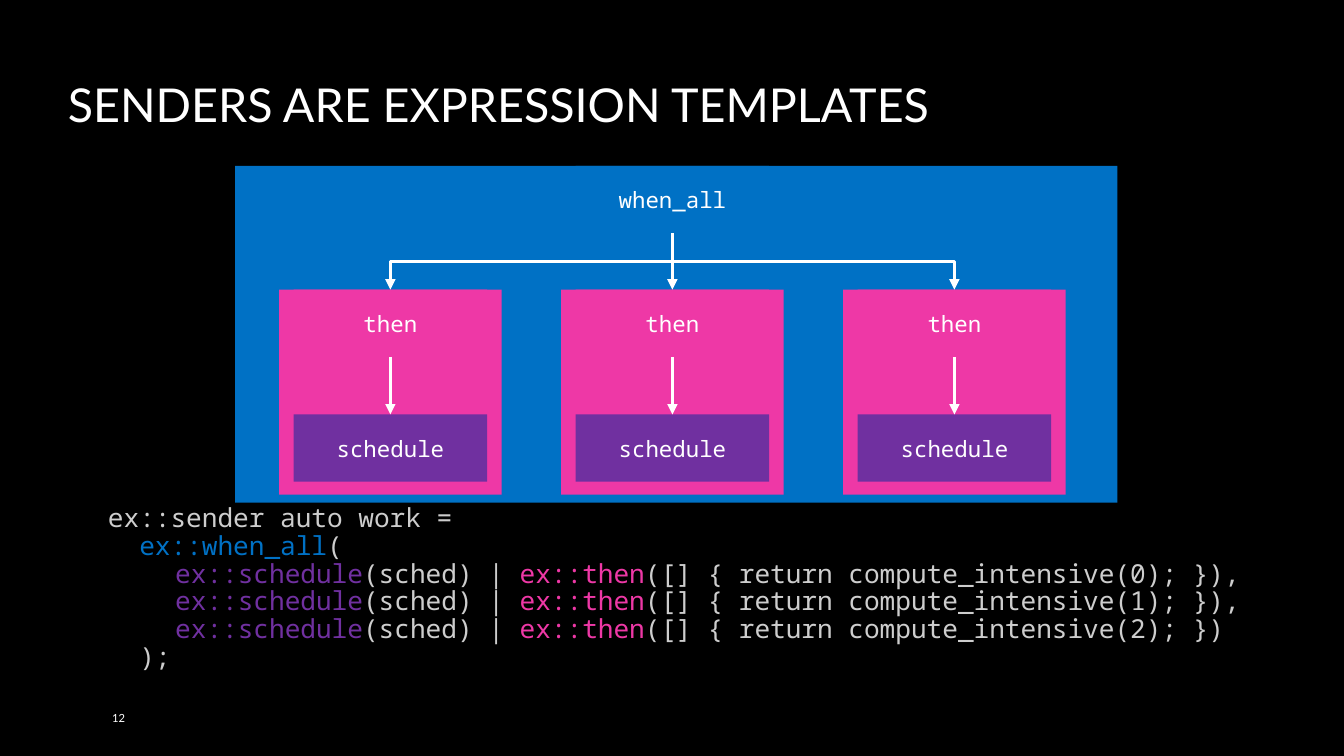
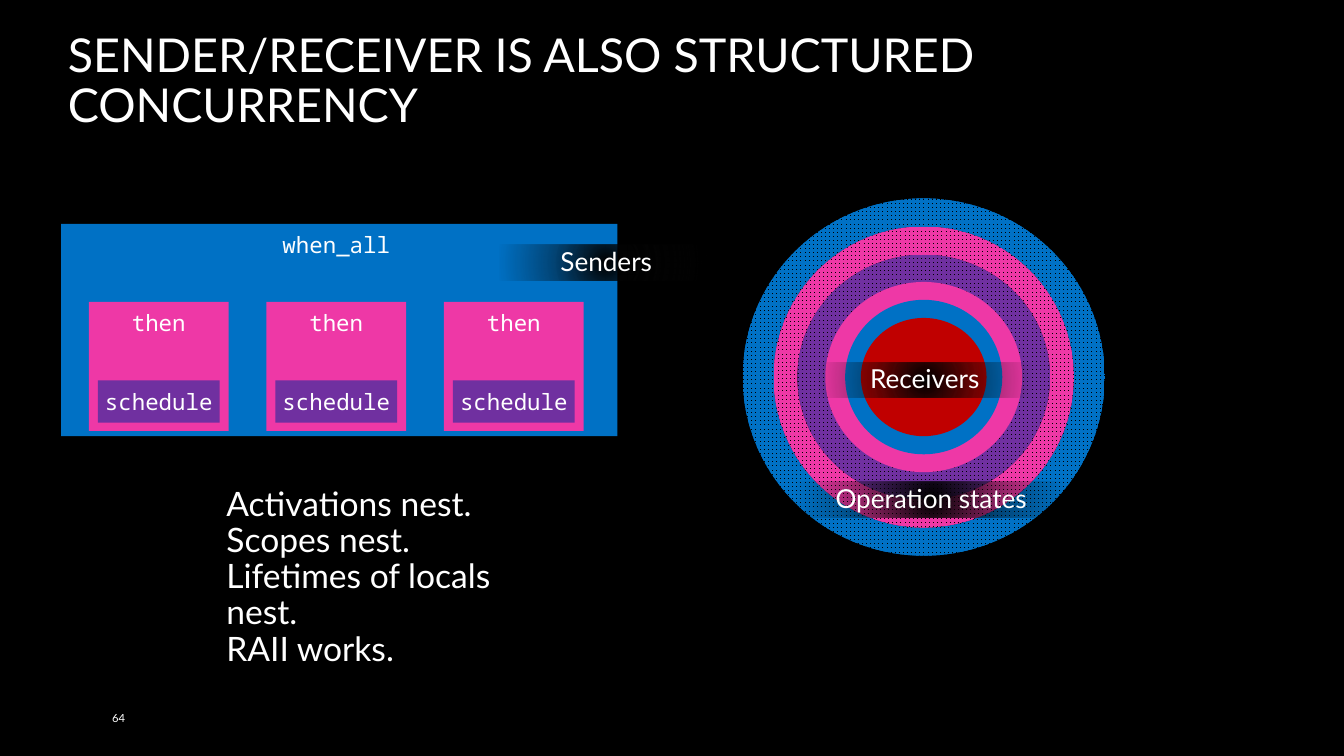
"""Build two slides on senders and receivers."""
from typing import NamedTuple

from lxml import etree
from pptx import Presentation
from pptx.dml.color import RGBColor
from pptx.enum.dml import MSO_PATTERN
from pptx.enum.shapes import MSO_CONNECTOR, MSO_SHAPE
from pptx.enum.text import MSO_ANCHOR, MSO_AUTO_SIZE, PP_ALIGN
from pptx.oxml import parse_xml
from pptx.oxml.ns import nsdecls, qn
from pptx.util import Cm, Pt

BLACK = RGBColor(0x00, 0x00, 0x00)
WHITE = RGBColor(0xFF, 0xFF, 0xFF)
GREY = RGBColor(0xCD, 0xCD, 0xCD)
BLUE = RGBColor(0x00, 0x71, 0xC5)
PINK = RGBColor(0xEE, 0x38, 0xA6)
PURPLE = RGBColor(0x70, 0x30, 0xA0)
RED = RGBColor(0xC0, 0x00, 0x00)

RECT, OVAL = MSO_SHAPE.RECTANGLE, MSO_SHAPE.OVAL
STRAIGHT, ELBOW = MSO_CONNECTOR.STRAIGHT, MSO_CONNECTOR.ELBOW
TOP, MIDDLE, BOTTOM = MSO_ANCHOR.TOP, MSO_ANCHOR.MIDDLE, MSO_ANCHOR.BOTTOM
LEFT, CENTER = PP_ALIGN.LEFT, PP_ALIGN.CENTER
FIXED = MSO_AUTO_SIZE.NONE
GRID = MSO_PATTERN.SMALL_GRID

SANS, MONO = "Lato", "Noto Sans Mono"
TITLE_ONLY = 5
TIGHT = 0.9
FADE = ((0, "000000", 100), (50, "060606", 40), (100, "0C0C0C", 0))


class Tree(NamedTuple):
    """Sizes of a sender tree, in cm from its panel."""
    panel: tuple
    inset: float
    step: float
    drop: float
    card: tuple
    cell: tuple
    low: float


WIDE = Tree((8.89, 6.27, 33.35, 12.73), 1.66, 10.66, 4.68,
            (8.41, 7.75), (7.32, 2.54), 4.72)
SMALL = Tree((2.31, 8.46, 21.03, 8.03), 1.05, 6.71, 2.95,
             (5.28, 4.88), (4.6, 1.6), 2.97)


def cms(*values):
    """Turn plain numbers into lengths."""
    return [Cm(value) for value in values]


def write(shape, lines, size, font=SANS, align=LEFT, anchor=TOP,
          space=None, wrap=True):
    """Fill a shape with lines, each a list of text and colour runs."""
    frame = shape.text_frame
    frame.word_wrap = wrap
    frame.auto_size = FIXED
    frame.vertical_anchor = anchor
    for row, line in enumerate(lines):
        para = frame.add_paragraph() if row else frame.paragraphs[0]
        para.alignment = align
        para.line_spacing = space
        for text, colour in line:
            run = para.add_run()
            run.text = text
            run.font.name = font
            run.font.size = Pt(size)
            run.font.color.rgb = colour
    return frame


def block(slide, box, fill=None, kind=RECT):
    """Add a shape without line or shadow."""
    shape = slide.shapes.add_shape(kind, *cms(*box))
    shape.shadow.inherit = False
    shape.line.fill.background()
    if fill is None:
        shape.fill.background()
    else:
        shape.fill.solid()
        shape.fill.fore_color.rgb = fill
    return shape


def node(slide, box, text, fill=None):
    """Add a code name in a filled cell, or in a bare text box."""
    if fill is None:
        shape = slide.shapes.add_textbox(*cms(*box))
    else:
        shape = block(slide, box, fill)
    write(shape, [[(text, WHITE)]], 24, MONO, CENTER, MIDDLE, wrap=False)


def arrow(slide, kind, ends, turn=0):
    """Add a white arrow, turned by some degrees."""
    line = slide.shapes.add_connector(kind, *cms(*ends))
    line.line.color.rgb = WHITE
    line.line.width = Pt(3.75)
    props = line.element.spPr
    etree.SubElement(props.find(qn("a:ln")), qn("a:tailEnd"), type="triangle")
    etree.SubElement(props, qn("a:effectLst"))
    if turn:
        props.find(qn("a:xfrm")).set("rot", str(turn * 60000))


def branch(slide, start, end):
    """Add an arrow that runs down, across and down again."""
    (left, top), (right, low) = start, end
    mid_x, mid_y = (left + right) / 2, (top + low) / 2
    side = 1 if right < left else -1
    half_w, half_h = side * (low - top) / 2, abs(right - left) / 2
    arrow(slide, ELBOW, (mid_x - half_w, mid_y - half_h,
                         mid_x + half_w, mid_y + half_h),
          90 if side > 0 else 270)


def draw_tree(slide, tree, arrows):
    """Draw a panel of three nested senders."""
    left, top, _, _ = tree.panel
    card_w, card_h = tree.card
    cell_w, cell_h = tree.cell
    block(slide, tree.panel, BLUE)
    card_top = top + tree.drop
    mids = [left + tree.inset + card_w / 2 + i * tree.step for i in range(3)]
    for mid in mids:
        cell_x, low = mid - cell_w / 2, card_top + tree.low
        block(slide, (mid - card_w / 2, card_top, card_w, card_h), PINK)
        node(slide, (cell_x, card_top, cell_w, cell_h), "then",
             PINK if arrows else None)
        node(slide, (cell_x, low, cell_w, cell_h), "schedule", PURPLE)
        if arrows:
            arrow(slide, STRAIGHT, (mid, card_top + cell_h, mid, low))
    hub = mids[1]
    node(slide, (hub - cell_w / 2, top, cell_w, cell_h), "when_all",
         BLUE if arrows else None)
    if arrows:
        root = top + cell_h
        arrow(slide, STRAIGHT, (hub, root, hub, card_top))
        for mid in (mids[0], mids[2]):
            branch(slide, (hub, root), (mid, card_top))


def draw_code(slide, box):
    """Write the code that builds the tree."""
    lines = [[("  ex::sender auto work =", GREY)],
             [("    ", GREY), ("ex::when_all", BLUE), ("(", GREY)]]
    for i, tail in enumerate((",", ",", "")):
        lines.append([("\t  ", GREY), ("ex::schedule", PURPLE),
                      ("(sched) | ", GREY), ("ex::then", PINK),
                      (f"([] {{ return compute_intensive({i}); }}){tail}",
                       GREY)])
    lines.append([("    );", GREY)])
    shape = slide.shapes.add_textbox(*cms(*box))
    frame = write(shape, lines, 28, MONO, space=0.88)
    frame.margin_left = Cm(0.51)
    for para in frame.paragraphs:
        stops = etree.Element(qn("a:tabLst"))
        etree.SubElement(stops, qn("a:tab"), pos=str(Cm(2.54)), algn="l")
        para._p.get_or_add_pPr().append(stops)


def draw_rings(slide, box):
    """Draw the nested operation states and receivers."""
    left, top, wide, high = box
    rings = ((wide, high, BLUE, True), (11.35, 11.38, PINK, True),
             (9.55, 9.25, PURPLE, True), (7.44, 7.19, PINK, False),
             (5.94, 5.84, BLUE, False), (4.75, 4.47, RED, False))
    for ring_w, ring_h, colour, dots in rings:
        shape = block(slide, (left + (wide - ring_w) / 2,
                              top + (high - ring_h) / 2, ring_w, ring_h),
                      colour, OVAL)
        if dots:
            shape.fill.patterned()
            shape.fill.pattern = GRID
            shape.fill.fore_color.rgb = colour
            shape.fill.back_color.rgb = BLACK
    draw_tag(slide, (left + 2.06, top + 10.71, 10.13, 1.35),
             "Operation states")
    draw_tag(slide, (left + 2.87, top + 6.19, 8.03, 1.35), "Receivers")


def draw_tag(slide, box, text):
    """Add a label on a dark glow."""
    shape = block(slide, box)
    stops = "".join(
        f'<a:gs pos="{pos * 1000}"><a:srgbClr val="{colour}">'
        f'<a:alpha val="{alpha * 1000}"/></a:srgbClr></a:gs>'
        for pos, colour, alpha in FADE)
    glow = parse_xml(
        f'<a:gradFill {nsdecls("a")} rotWithShape="1"><a:gsLst>{stops}'
        '</a:gsLst><a:path path="circle"><a:fillToRect l="50000" t="50000" '
        'r="50000" b="50000"/></a:path></a:gradFill>')
    props = shape.element.spPr
    props.replace(props.find(qn("a:noFill")), glow)
    write(shape, [[(text, WHITE)]], 28, SANS, CENTER, MIDDLE, TIGHT)


def draw_notes(slide, box):
    """List what structured concurrency brings."""
    lines = ("Activations nest.", "Scopes nest.",
             "Lifetimes of locals nest.", "RAII works.")
    shape = slide.shapes.add_textbox(*cms(*box))
    write(shape, [[(line, WHITE)] for line in lines], 36,
          anchor=MIDDLE, space=TIGHT)


def new_slide(deck, title, number, wide):
    """Add a slide with its title and number."""
    slide = deck.slides.add_slide(deck.slide_layouts[TITLE_ONLY])
    head = slide.shapes.title
    head.left, head.top, head.width, head.height = cms(2.31, 2.41, wide, 2.74)
    write(head, [[(title, WHITE)]], 50, anchor=BOTTOM, space=TIGHT)
    foot = slide.shapes.add_textbox(*cms(3.99, 26.37, 11.43, 1.52))
    write(foot, [[(number, WHITE)]], 12, anchor=MIDDLE)
    return slide


def main():
    """Build and save the deck."""
    deck = Presentation()
    deck.slide_width, deck.slide_height = cms(50.8, 28.58)
    back = deck.slide_master.background.fill
    back.solid()
    back.fore_color.rgb = BLACK

    slide = new_slide(deck, "SENDERS ARE EXPRESSION TEMPLATES", "12", 46.18)
    draw_tree(slide, WIDE, True)
    draw_code(slide, (2.39, 19, 46.1, 8.38))

    slide = new_slide(deck, "SENDER/RECEIVER IS ALSO STRUCTURED CONCURRENCY",
                      "64", 46.71)
    draw_tree(slide, SMALL, False)
    draw_rings(slide, (28.07, 7.5, 13.69, 13.51))
    draw_notes(slide, (8.31, 18.95, 12.6, 5.79))
    draw_tag(slide, (18.9, 9.25, 8.03, 1.35), "Senders")

    deck.save("out.pptx")


if __name__ == "__main__":
    main()
